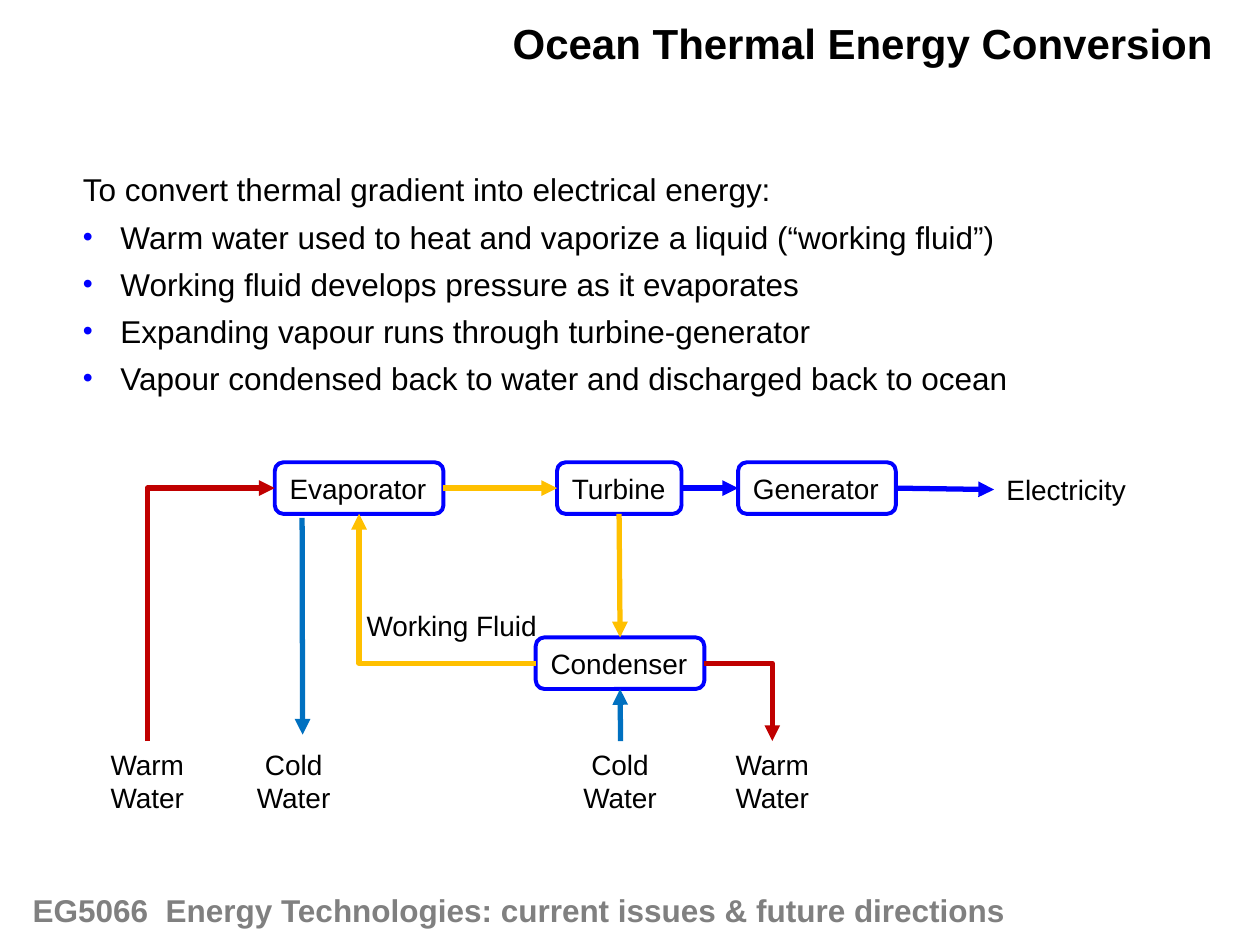
from lxml import etree
from pptx import Presentation
from pptx.dml.color import RGBColor
from pptx.enum.shapes import MSO_CONNECTOR as CONNECTOR, MSO_SHAPE as SHAPE
from pptx.enum.text import MSO_ANCHOR as ANCHOR, MSO_AUTO_SIZE as AUTO_SIZE, PP_ALIGN as ALIGN
from pptx.oxml import parse_xml
from pptx.oxml.ns import nsdecls, qn
from pptx.util import Cm, Pt

BLACK = RGBColor(0x00, 0x00, 0x00)
GREY = RGBColor(0x80, 0x80, 0x80)
BLUE = RGBColor(0x00, 0x00, 0xFF)
AMBER = RGBColor(0xFF, 0xC0, 0x00)
RED = RGBColor(0xC0, 0x00, 0x00)
COLD_BLUE = RGBColor(0x00, 0x70, 0xC0)


def write_text(shape, text, size=16, color=BLACK, bold=False, align=ALIGN.LEFT,
               anchor=ANCHOR.TOP, wrap=False, spacing=None):
    """Fill a shape with one paragraph for each line of text."""
    frame = shape.text_frame
    frame.auto_size = AUTO_SIZE.NONE
    frame.word_wrap = wrap
    frame.vertical_anchor = anchor
    frame.text = text
    for paragraph in frame.paragraphs:
        paragraph.alignment = align
        paragraph.line_spacing = spacing
        for run in paragraph.runs:
            run.font.name = "Arial"
            run.font.size = Pt(size)
            run.font.bold = bold
            run.font.color.rgb = color
    return frame


def add_arrow(kind, x1, y1, x2, y2, color):
    """Draw an arrow; kind is straight, across (level first) or upright (vertical first)."""
    turned = kind == "upright"
    start, end = (x1, y1), (x2, y2)
    if turned:
        # A quarter turn about the centre: lay the arrow out unturned first
        middle_x, middle_y = (x1 + x2) / 2, (y1 + y2) / 2
        start, end = [(middle_x + y - middle_y, middle_y - x + middle_x)
                      for x, y in (start, end)]
    style = CONNECTOR.STRAIGHT if kind == "straight" else CONNECTOR.ELBOW
    connector = slide.shapes.add_connector(style, *(Cm(value) for value in start + end))
    connector.line.color.rgb = color
    connector.line.width = Pt(3)
    properties = connector._element.spPr
    if kind != "straight":
        properties.find(qn("a:prstGeom")).set("prst", "bentConnector2")
    if turned:
        properties.find(qn("a:xfrm")).set("rot", "5400000")
    etree.SubElement(properties.find(qn("a:ln")), qn("a:tailEnd"), type="triangle")
    etree.SubElement(properties, qn("a:effectLst"))


presentation = Presentation()
presentation.slide_width, presentation.slide_height = Cm(25.4), Cm(19.05)
slide = presentation.slides.add_slide(presentation.slide_layouts[5])

# Title
title = slide.shapes.title
title.left, title.top, title.width, title.height = Cm(10.08), Cm(0.23), Cm(14.63), Cm(1.27)
write_text(title, "Ocean Thermal Energy Conversion", size=24, bold=True)

# Explanation with bullets
body = slide.shapes.add_textbox(Cm(1.42), Cm(3.12), Cm(19.43), Cm(5.03))
body_lines = [
    "To convert thermal gradient into electrical energy:",
    "Warm water used to heat and vaporize a liquid (“working fluid”)",
    "Working fluid develops pressure as it evaporates",
    "Expanding vapour runs through turbine-generator",
    "Vapour condensed back to water and discharged back to ocean",
]
body_frame = write_text(body, "\n".join(body_lines), size=18, spacing=1.25)
for paragraph in body_frame.paragraphs[1:]:
    properties = paragraph._p.get_or_add_pPr()
    properties.set("marL", str(Cm(0.76)))
    properties.set("indent", str(-Cm(0.76)))
    for bullet_part in (f'<a:buClr {nsdecls("a")}><a:srgbClr val="{BLUE}"/></a:buClr>',
                        f'<a:buSzPct {nsdecls("a")} val="90000"/>',
                        f'<a:buFont {nsdecls("a")} typeface="Arial"/>',
                        f'<a:buChar {nsdecls("a")} char="•"/>'):
        properties.append(parse_xml(bullet_part))

# Plant components
BOX_HEIGHT = 1.04
TOP_ROW, BOTTOM_ROW = 9.32, 12.85
components = [
    ("Evaporator", 5.54, TOP_ROW, 3.4),
    ("Turbine", 11.23, TOP_ROW, 2.51),
    ("Generator", 14.88, TOP_ROW, 3.18),
    ("Condenser", 10.8, BOTTOM_ROW, 3.4),
]
for name, left, top, width in components:
    box = slide.shapes.add_shape(SHAPE.ROUNDED_RECTANGLE, Cm(left), Cm(top),
                                 Cm(width), Cm(BOX_HEIGHT))
    box.shadow.inherit = False
    box.fill.background()
    box.line.color.rgb = BLUE
    box.line.width = Pt(2.25)
    write_text(box, name, anchor=ANCHOR.MIDDLE)

# Flows between the components
top_axis, bottom_axis = TOP_ROW + BOX_HEIGHT / 2, BOTTOM_ROW + BOX_HEIGHT / 2
top_base, bottom_base = TOP_ROW + BOX_HEIGHT, BOTTOM_ROW + BOX_HEIGHT
WATER_TOP = 14.94
flows = [
    ("straight", 8.94, top_axis, 11.23, top_axis, AMBER),
    ("straight", 13.74, top_axis, 14.88, top_axis, BLUE),
    ("straight", 18.06, top_axis, 20.04, top_axis + 0.03, BLUE),
    ("straight", 12.48, top_base, 12.5, BOTTOM_ROW, AMBER),
    ("across", 10.8, bottom_axis, 7.24, top_base, AMBER),
    ("upright", 2.97, WATER_TOP, 5.54, top_axis, RED),
    ("straight", 6.09, 10.44, 6.1, 14.81, COLD_BLUE),
    ("straight", 12.51, WATER_TOP, 12.5, bottom_base, COLD_BLUE),
    ("across", 14.2, bottom_axis, 15.57, WATER_TOP, RED),
]
for flow in flows:
    add_arrow(*flow)

# Flow labels
for name, left, top, width in [("Working Fluid", 7.14, 12.14, 3.96),
                               ("Electricity", 20.04, 9.4, 2.92)]:
    label = slide.shapes.add_textbox(Cm(left), Cm(top), Cm(width), Cm(0.94))
    write_text(label, name)

for name, left in [("Warm Water", 1.65), ("Cold Water", 4.6),
                   ("Cold Water", 11.18), ("Warm Water", 14.25)]:
    label = slide.shapes.add_textbox(Cm(left), Cm(WATER_TOP), Cm(2.64), Cm(1.63))
    write_text(label, name, align=ALIGN.CENTER, wrap=True)

# Course footer
footer = slide.shapes.add_textbox(Cm(0.41), Cm(17.83), Cm(21.82), Cm(1.02))
write_text(footer, "EG5066  Energy Technologies: current issues & future directions",
           size=18, color=GREY, bold=True, wrap=True)

presentation.save("out.pptx")
